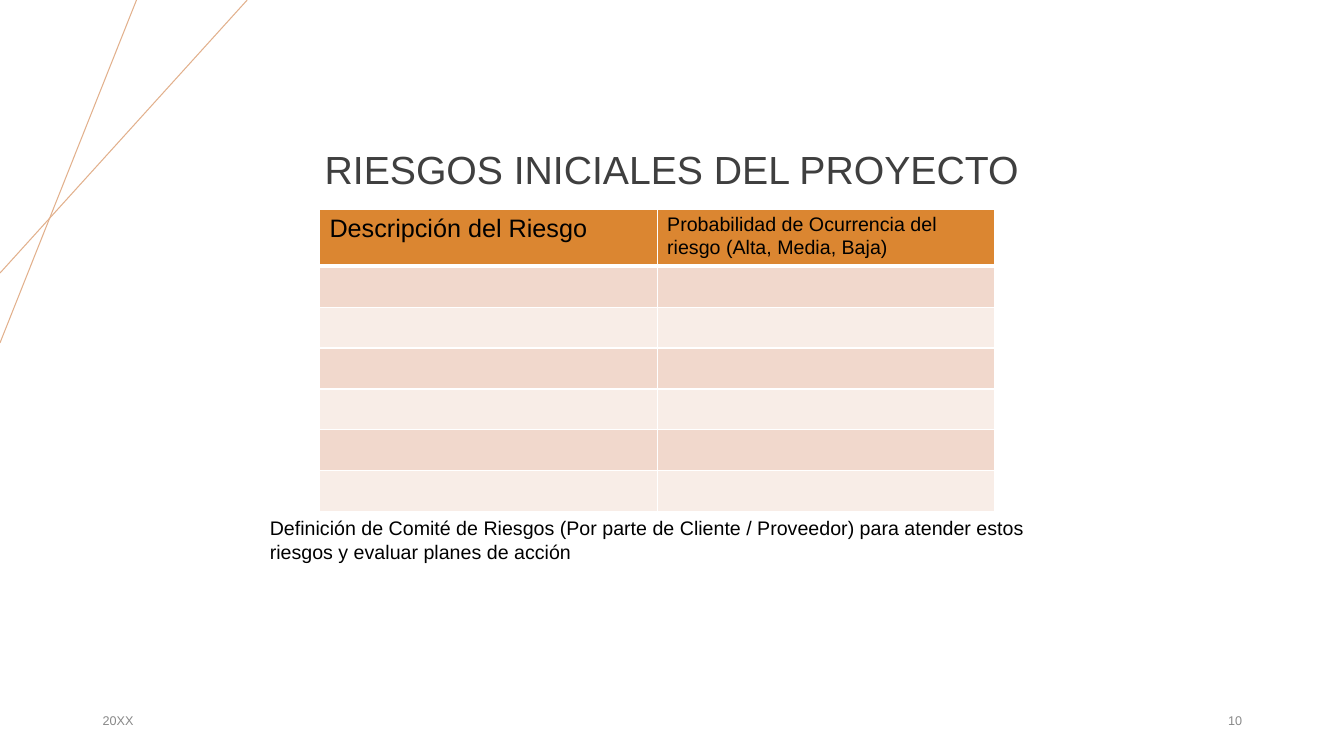
from lxml import etree
from pptx import Presentation, util as u
from pptx.dml.color import RGBColor
from pptx.enum import shapes, text
from pptx.oxml import ns

FONT = "Arial"
COLORS = {
    "line": "E2B08C",
    "title": "3F3F3F",
    "footer": "888888",
    "body": "000000",
    "header": "DB8631",
    "odd_row": "F1D8CC",
    "even_row": "F8EDE7",
    "border": "FFFFFF",
}
HEADERS = [
    ("Descripción del Riesgo", 18),
    ("Probabilidad de Ocurrencia del riesgo (Alta, Media, Baja)", 14),
]
RISK_ROWS = 6
HEADER_HEIGHT = 1.35
ROW_HEIGHT = 1.03
COLUMN_WIDTH = 8.51


def color(name):
    return RGBColor.from_string(COLORS[name])


def write_text(frame, content, size=14, fill="body", align=text.PP_ALIGN.LEFT, spacing=1.0):
    paragraph = frame.paragraphs[0]
    paragraph.alignment = align
    paragraph.line_spacing = spacing
    run = paragraph.add_run()
    run.text = content
    run.font.name = FONT
    run.font.size = u.Pt(size)
    run.font.bold = False
    run.font.color.rgb = color(fill)


def add_text(slide, box, content, anchor=text.MSO_ANCHOR.MIDDLE, **text_format):
    frame = slide.shapes.add_textbox(*map(u.Cm, box)).text_frame
    frame.word_wrap = True
    frame.vertical_anchor = anchor
    write_text(frame, content, **text_format)


def add_line(slide, start, end):
    connector = slide.shapes.add_connector(
        shapes.MSO_CONNECTOR.STRAIGHT, *map(u.Cm, start + end))
    connector.line.color.rgb = color("line")
    connector.line.width = u.Pt(0.75)
    etree.SubElement(connector._element.spPr, ns.qn("a:effectLst"))


def set_borders(cell, **widths):
    properties = cell._tc.get_or_add_tcPr()
    for side in ("L", "R", "T", "B"):
        border = etree.SubElement(properties, ns.qn(f"a:ln{side}"))
        border.set("w", str(u.Pt(widths.get(side, 1))))
        fill = etree.SubElement(border, ns.qn("a:solidFill"))
        etree.SubElement(fill, ns.qn("a:srgbClr")).set("val", COLORS["border"])


def fill_cell(cell, fill, **border_widths):
    set_borders(cell, **border_widths)
    cell.fill.solid()
    cell.fill.fore_color.rgb = color(fill)


def add_risk_table(slide, left, top):
    width = COLUMN_WIDTH * len(HEADERS)
    height = HEADER_HEIGHT + ROW_HEIGHT * RISK_ROWS
    table = slide.shapes.add_table(
        RISK_ROWS + 1, len(HEADERS), *map(u.Cm, (left, top, width, height))).table
    table.horz_banding = False
    for index, row in enumerate(table.rows):
        row.height = u.Cm(ROW_HEIGHT if index else HEADER_HEIGHT)
    for index, (label, size) in enumerate(HEADERS):
        table.columns[index].width = u.Cm(COLUMN_WIDTH)
        header = table.cell(0, index)
        fill_cell(header, "header", B=3)
        write_text(header.text_frame, label, size=size)
        for row in range(1, RISK_ROWS + 1):
            fill_cell(table.cell(row, index), "odd_row" if row % 2 else "even_row",
                      T=3 if row == 1 else 1)


def main():
    presentation = Presentation()
    presentation.slide_width = u.Cm(33.87)
    presentation.slide_height = u.Cm(19.05)
    slide = presentation.slides.add_slide(presentation.slide_layouts[6])

    add_line(slide, (3.44, 0), (0, 8.64))
    add_line(slide, (6.23, 0), (0, 6.88))
    add_text(slide, (5.23, 2.49, 23.39, 3.68), "RIESGOS INICIALES DEL PROYECTO",
             size=28, fill="title", align=text.PP_ALIGN.CENTER, spacing=0.9)
    add_text(slide, (2.34, 17.65, 7.62, 1.02), "20XX", size=9, fill="footer")
    add_text(slide, (23.93, 17.65, 7.62, 1.02), "10", size=9, fill="footer",
             align=text.PP_ALIGN.RIGHT)
    add_risk_table(slide, 8.05, 5.27)
    add_text(slide, (6.55, 12.88, 20.75, 1.45),
             "Definición de Comité de Riesgos (Por parte de Cliente / Proveedor) "
             "para atender estos riesgos y evaluar planes de acción",
             anchor=text.MSO_ANCHOR.TOP)

    presentation.save("out.pptx")


if __name__ == "__main__":
    main()
